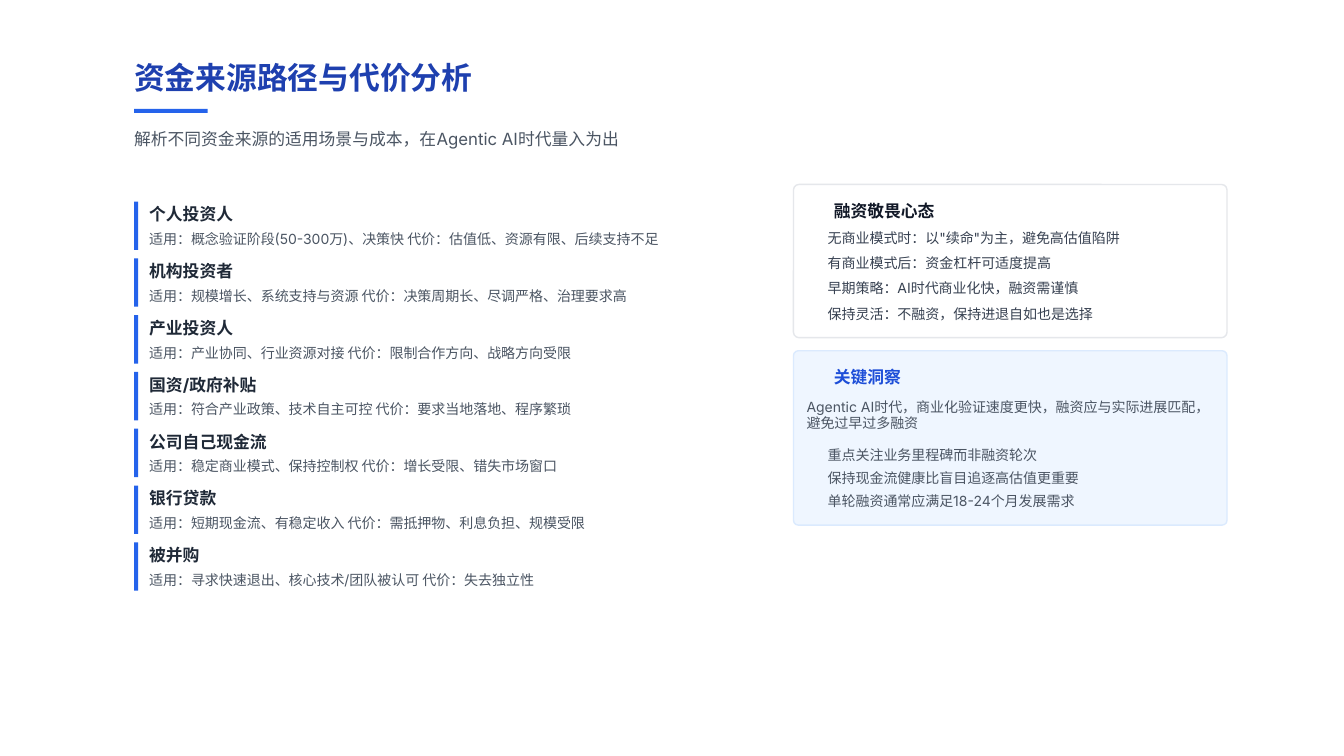
from pptx import Presentation
from pptx.dml.color import RGBColor
from pptx.enum import shapes, text
from pptx.util import Inches, Pt

TITLE = "资金来源路径与代价分析"
SUBTITLE = "解析不同资金来源的适用场景与成本，在Agentic AI时代量入为出"
SOURCES = [
    ("个人投资人", "适用：概念验证阶段(50-300万)、决策快 代价：估值低、资源有限、后续支持不足"),
    ("机构投资者", "适用：规模增长、系统支持与资源 代价：决策周期长、尽调严格、治理要求高"),
    ("产业投资人", "适用：产业协同、行业资源对接 代价：限制合作方向、战略方向受限"),
    ("国资/政府补贴", "适用：符合产业政策、技术自主可控 代价：要求当地落地、程序繁琐"),
    ("公司自己现金流", "适用：稳定商业模式、保持控制权 代价：增长受限、错失市场窗口"),
    ("银行贷款", "适用：短期现金流、有稳定收入 代价：需抵押物、利息负担、规模受限"),
    ("被并购", "适用：寻求快速退出、核心技术/团队被认可 代价：失去独立性"),
]
MINDSET_TITLE = "融资敬畏心态"
MINDSET = [
    "无商业模式时：以\"续命\"为主，避免高估值陷阱",
    "有商业模式后：资金杠杆可适度提高",
    "早期策略：AI时代商业化快，融资需谨慎",
    "保持灵活：不融资，保持进退自如也是选择",
]
INSIGHT_TITLE = "关键洞察"
INSIGHT = "Agentic AI时代，商业化验证速度更快，融资应与实际进展匹配，避免过早过多融资"
INSIGHT_POINTS = [
    "重点关注业务里程碑而非融资轮次",
    "保持现金流健康比盲目追逐高估值更重要",
    "单轮融资通常应满足18-24个月发展需求",
]

FONT = "Inter"
NAVY = RGBColor(0x1E, 0x40, 0xAF)
BLUE = RGBColor(0x25, 0x63, 0xEB)
HEADING_BLUE = RGBColor(0x1D, 0x4E, 0xD8)
PALE_BLUE = RGBColor(0xEF, 0xF6, 0xFF)
BORDER_BLUE = RGBColor(0xDB, 0xEA, 0xFE)
BORDER_GRAY = RGBColor(0xE5, 0xE7, 0xEB)
BLACK = RGBColor(0x11, 0x18, 0x27)
DARK = RGBColor(0x1F, 0x29, 0x37)
SLATE = RGBColor(0x37, 0x41, 0x51)
GRAY = RGBColor(0x4B, 0x55, 0x63)

LEFT = 1.33
SOURCE_TOP, LAST_SOURCE_TOP = 2, 5.38
SOURCE_PITCH = (LAST_SOURCE_TOP - SOURCE_TOP) / (len(SOURCES) - 1)
CARD_LEFT, CARD_WIDTH = 7.87, 4.3
HEADING_LEFT, POINT_LEFT = 8.27, 8.21
HEADING_HEIGHT, LINE_HEIGHT = 0.21, 0.18

presentation = Presentation()
presentation.slide_width = Inches(13.33)
presentation.slide_height = Inches(7.5)
slide = presentation.slides.add_slide(presentation.slide_layouts[5])


def write(shape, content, size, color, bold=False):
    frame = shape.text_frame
    frame_format = {
        "margin_left": 0, "margin_top": 0, "margin_right": 0, "margin_bottom": 0,
        "word_wrap": True, "auto_size": text.MSO_AUTO_SIZE.NONE,
        "vertical_anchor": text.MSO_ANCHOR.MIDDLE,
    }
    for name, value in frame_format.items():
        setattr(frame, name, value)
    paragraph = frame.paragraphs[0]
    paragraph.alignment = text.PP_ALIGN.LEFT
    run = paragraph.add_run()
    run.text = content
    for name, value in {"name": FONT, "size": Pt(size), "bold": bold}.items():
        setattr(run.font, name, value)
    run.font.color.rgb = color


def add_text(box, content, size, color, bold=False):
    write(slide.shapes.add_textbox(*map(Inches, box)), content, size, color, bold)


def add_heading(left, top, content, color):
    add_text((left, top, 3, HEADING_HEIGHT), content, 12, color, True)


def add_bar(left, top, width, height):
    bar = slide.shapes.add_shape(
        shapes.MSO_SHAPE.RECTANGLE, *map(Inches, (left, top, width, height)))
    bar.shadow.inherit = False
    bar.fill.solid()
    bar.fill.fore_color.rgb = BLUE
    bar.line.fill.background()


def add_card(top, height, corner, border, fill=None):
    card = slide.shapes.add_shape(
        shapes.MSO_SHAPE.ROUNDED_RECTANGLE,
        *map(Inches, (CARD_LEFT, top, CARD_WIDTH, height)))
    card.adjustments[0] = corner
    card.shadow.inherit = False
    if fill is None:
        card.fill.background()
    else:
        card.fill.solid()
        card.fill.fore_color.rgb = fill
    card.line.color.rgb = border
    card.line.width = Pt(1)


def add_points(points, top, pitch, color):
    for index, point in enumerate(points):
        add_text((POINT_LEFT, top + index * pitch, 3.8, LINE_HEIGHT), point, 10, color)


title = slide.shapes.title
title.left, title.top, title.width, title.height = map(Inches, (LEFT, 0.58, 6, 0.38))
write(title, TITLE, 22, NAVY, True)
add_bar(LEFT, 1.08, 0.73, 0.04)
add_text((LEFT, 1.27, 6, HEADING_HEIGHT), SUBTITLE, 12, GRAY)

for index, (source, detail) in enumerate(SOURCES):
    top = SOURCE_TOP + index * SOURCE_PITCH
    add_bar(LEFT, top, 0.04, 0.48)
    add_heading(LEFT + 0.15, top + 0.02, source, DARK)
    add_text((LEFT + 0.15, top + 0.28, 6, LINE_HEIGHT), detail, 10, GRAY)

add_card(1.83, 1.52, 0.036, BORDER_GRAY)
add_heading(HEADING_LEFT, 1.99, MINDSET_TITLE, BLACK)
add_points(MINDSET, 2.27, 0.25, SLATE)

add_card(3.48, 1.73, 0.028, BORDER_BLUE, PALE_BLUE)
add_heading(HEADING_LEFT, 3.63, INSIGHT_TITLE, HEADING_BLUE)
add_text((8, 3.92, 4.04, 0.39), INSIGHT, 10, GRAY)
add_points(INSIGHT_POINTS, 4.42, 0.23, GRAY)

presentation.save("out.pptx")
